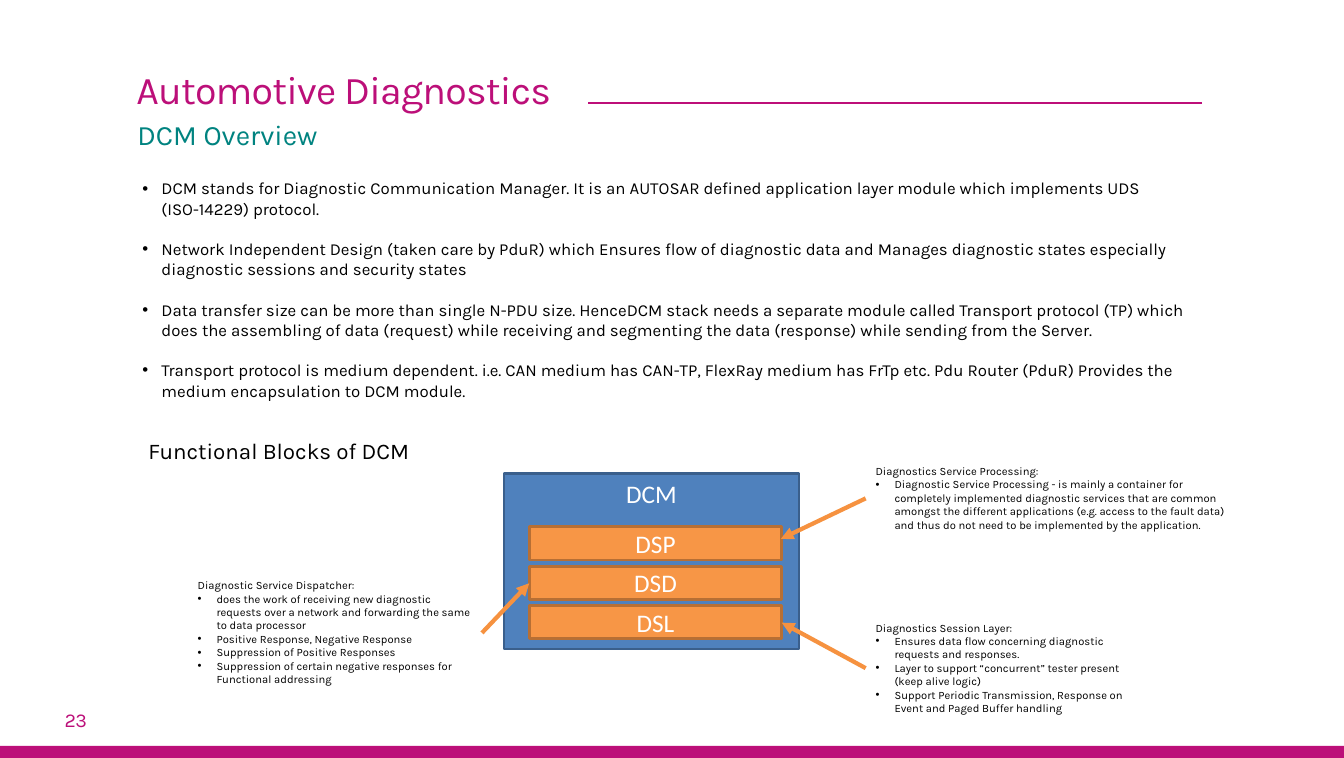
import dataclasses

import pptx
import pptx.dml.color
import pptx.enum.shapes
import pptx.enum.text
import pptx.oxml.ns
import pptx.util
from lxml import etree

ALIGN = pptx.enum.text.PP_ALIGN
ANCHOR = pptx.enum.text.MSO_ANCHOR
RECTANGLE = pptx.enum.shapes.MSO_SHAPE.RECTANGLE
STRAIGHT = pptx.enum.shapes.MSO_CONNECTOR.STRAIGHT

WIDTH = pptx.util.Pt(958)
HEIGHT = pptx.util.Pt(540)


@dataclasses.dataclass(frozen=True)
class Theme:
    font: str = "Karla"
    block_font: str = "Calibri"
    magenta: str = "BC0F79"
    rule: str = "BD0F79"
    teal: str = "008380"
    black: str = "000000"
    white: str = "FFFFFF"
    blue: str = "4F81BD"
    blue_edge: str = "3A5F8C"
    orange: str = "F79646"
    orange_edge: str = "B76F34"
    arrow: str = "F69240"
    title_size: float = 28
    subtitle_size: float = 20
    block_size: float = 18
    heading_size: float = 16
    number_size: float = 14
    body_size: float = 12
    note_size: float = 8
    heading_leading: float = 25.3
    heading_tracking: float = -0.55
    body_gap: float = 14.4
    indent: float = 13.5


THEME = Theme()

BODY = [
    "DCM stands for Diagnostic Communication Manager. It is an AUTOSAR defined application layer module "
    "which implements UDS (ISO-14229) protocol.",
    "Network Independent Design (taken care by PduR) which Ensures flow of diagnostic data and Manages "
    "diagnostic states especially diagnostic sessions and security states",
    "Data transfer size can be more than single N-PDU size. HenceDCM stack needs a separate module called "
    "Transport protocol (TP) which does the assembling of data (request) while receiving and segmenting "
    "the data (response) while sending from the Server.",
    "Transport protocol is medium dependent. i.e. CAN medium has CAN-TP, FlexRay medium has FrTp etc. "
    "Pdu Router (PduR) Provides the medium encapsulation to DCM module.",
]

# Layer name, note box, arrow start and end, note lines; lengths in percent of the slide
LAYERS = [
    ("DSP", (64.41, 60.58, 28.18, 10.27), (64.41, 65.75, 58.1, 71.1), [
        "Diagnostics Service Processing:",
        "Diagnostic Service Processing - is mainly a container for completely implemented diagnostic "
        "services that are common amongst the different applications (e.g. access to the fault data) "
        "and thus do not need to be implemented by the application.",
    ]),
    ("DSD", (13.97, 75.65, 21.95, 15.73), (35.86, 83.5, 39.38, 76.95), [
        "Diagnostic Service Dispatcher:",
        "does the work of receiving new diagnostic requests over a network and forwarding the same "
        "to data processor",
        "Positive Response, Negative Response",
        "Suppression of Positive Responses",
        "Suppression of certain negative responses for Functional addressing",
    ]),
    ("DSL", (64.41, 81.25, 21.95, 13.87), (64.41, 88.15, 58.17, 82.15), [
        "Diagnostics Session Layer:",
        "Ensures data flow concerning diagnostic requests and responses.",
        "Layer to support “concurrent” tester present (keep alive logic)",
        "Support Periodic Transmission, Response on Event and Paged Buffer handling",
    ]),
]


def share(left, top, across, down):
    """Turn percentages of the slide's width and height into lengths."""
    return (int(WIDTH * left / 100), int(HEIGHT * top / 100),
            int(WIDTH * across / 100), int(HEIGHT * down / 100))


def rgb(color):
    return pptx.dml.color.RGBColor.from_string(color)


def add_child(parent, tag, **attributes):
    return etree.SubElement(parent, pptx.oxml.ns.qn(tag), attributes)


def set_bullet(paragraph):
    properties = paragraph._p.get_or_add_pPr()
    indent = pptx.util.Pt(THEME.indent)
    properties.set("marL", str(indent))
    properties.set("indent", str(-indent))
    add_child(properties, "a:buFont", typeface="Arial")
    add_child(properties, "a:buChar", char="•")


def write_text(shape, lines, *, size, color=THEME.black, font=THEME.font, align=ALIGN.LEFT,
               anchor=ANCHOR.TOP, leading=None, gap=0, tracking=0, tight=False, bullets_from=None):
    """Fill a shape with one paragraph a line; lines from index bullets_from on get bullets."""
    frame = shape.text_frame
    frame.word_wrap = True
    frame.auto_size = pptx.enum.text.MSO_AUTO_SIZE.NONE
    frame.vertical_anchor = anchor
    if tight:
        frame.margin_left = frame.margin_right = frame.margin_bottom = 0
        frame.margin_top = pptx.util.Pt(0.9)
    for index, line in enumerate(lines):
        paragraph = frame.add_paragraph() if index else frame.paragraphs[0]
        paragraph.alignment = align
        paragraph.space_before = pptx.util.Pt(0)
        paragraph.space_after = pptx.util.Pt(gap)
        if leading:
            paragraph.line_spacing = pptx.util.Pt(leading)
        if bullets_from is not None and index >= bullets_from:
            set_bullet(paragraph)
        run = paragraph.add_run()
        run.text = line
        run.font.name = font
        run.font.size = pptx.util.Pt(size)
        run.font.color.rgb = rgb(color)
        if tracking:
            run._r.get_or_add_rPr().set("spc", str(round(tracking * 100)))


def add_text(slide, box, lines, **text_format):
    write_text(slide.shapes.add_textbox(*share(*box)), lines, **text_format)


def fill_placeholder(placeholder, box, lines, **text_format):
    placeholder.left, placeholder.top, placeholder.width, placeholder.height = share(*box)
    write_text(placeholder, lines, **text_format)


def add_rectangle(slide, box, fill, edge=None):
    rectangle = slide.shapes.add_shape(RECTANGLE, *share(*box))
    rectangle.shadow.inherit = False
    rectangle.fill.solid()
    rectangle.fill.fore_color.rgb = rgb(fill)
    if edge:
        rectangle.line.color.rgb = rgb(edge)
        rectangle.line.width = pptx.util.Pt(2)
    else:
        rectangle.line.fill.background()
    return rectangle


def add_block(slide, box, label, fill, edge, anchor):
    write_text(add_rectangle(slide, box, fill, edge), [label], size=THEME.block_size,
               color=THEME.white, font=THEME.block_font, align=ALIGN.CENTER, anchor=anchor)


def add_line(slide, ends, color, width, arrow=False):
    connector = slide.shapes.add_connector(STRAIGHT, *share(*ends))
    connector.line.color.rgb = rgb(color)
    connector.line.width = pptx.util.Pt(width)
    properties = connector.element.spPr
    if arrow:
        add_child(properties.find(pptx.oxml.ns.qn("a:ln")), "a:tailEnd", type="triangle")
    add_child(properties, "a:effectLst")


def add_headings(slide):
    heading = {"leading": THEME.heading_leading, "tight": True}
    fill_placeholder(slide.shapes.title, (10.14, 10, 52.99, 5.07), ["Automotive Diagnostics"],
                     size=THEME.title_size, color=THEME.magenta, tracking=THEME.heading_tracking, **heading)
    add_text(slide, (10.22, 15.1, 63.58, 4.67), ["DCM Overview"],
             size=THEME.subtitle_size, color=THEME.teal, **heading)
    add_text(slide, (4.82, 91.7, 2.48, 4.4), ["23"],
             size=THEME.number_size, color=THEME.magenta, tracking=THEME.heading_tracking, **heading)
    add_line(slide, (89.44, 13.6, 43.74, 13.6), THEME.rule, 1.5)
    add_rectangle(slide, (0, 98.4, 100, 1.6), THEME.magenta)


def add_functional_blocks(slide):
    add_text(slide, (10.3, 56.95, 33.9, 4.93), ["Functional Blocks of DCM"], size=THEME.heading_size)
    add_block(slide, (37.5, 62.42, 21.95, 23.2), "DCM", THEME.blue, THEME.blue_edge, ANCHOR.TOP)
    for row, (name, note_box, arrow_ends, note) in enumerate(LAYERS):
        add_block(slide, (39.38, 69.5 + 5.2 * row, 18.79, 4.4), name,
                  THEME.orange, THEME.orange_edge, ANCHOR.MIDDLE)
        add_text(slide, note_box, note, size=THEME.note_size, bullets_from=1)
        add_line(slide, arrow_ends, THEME.arrow, 3, arrow=True)


def main():
    presentation = pptx.Presentation()
    presentation.slide_width = WIDTH
    presentation.slide_height = HEIGHT
    slide = presentation.slides.add_slide(presentation.slide_layouts.get_by_name("Title and Content"))
    add_headings(slide)
    fill_placeholder(slide.placeholders[1], (9.85, 22.83, 81.77, 33.6), BODY,
                     size=THEME.body_size, gap=THEME.body_gap, bullets_from=0)
    add_functional_blocks(slide)
    presentation.save("out.pptx")


if __name__ == "__main__":
    main()
